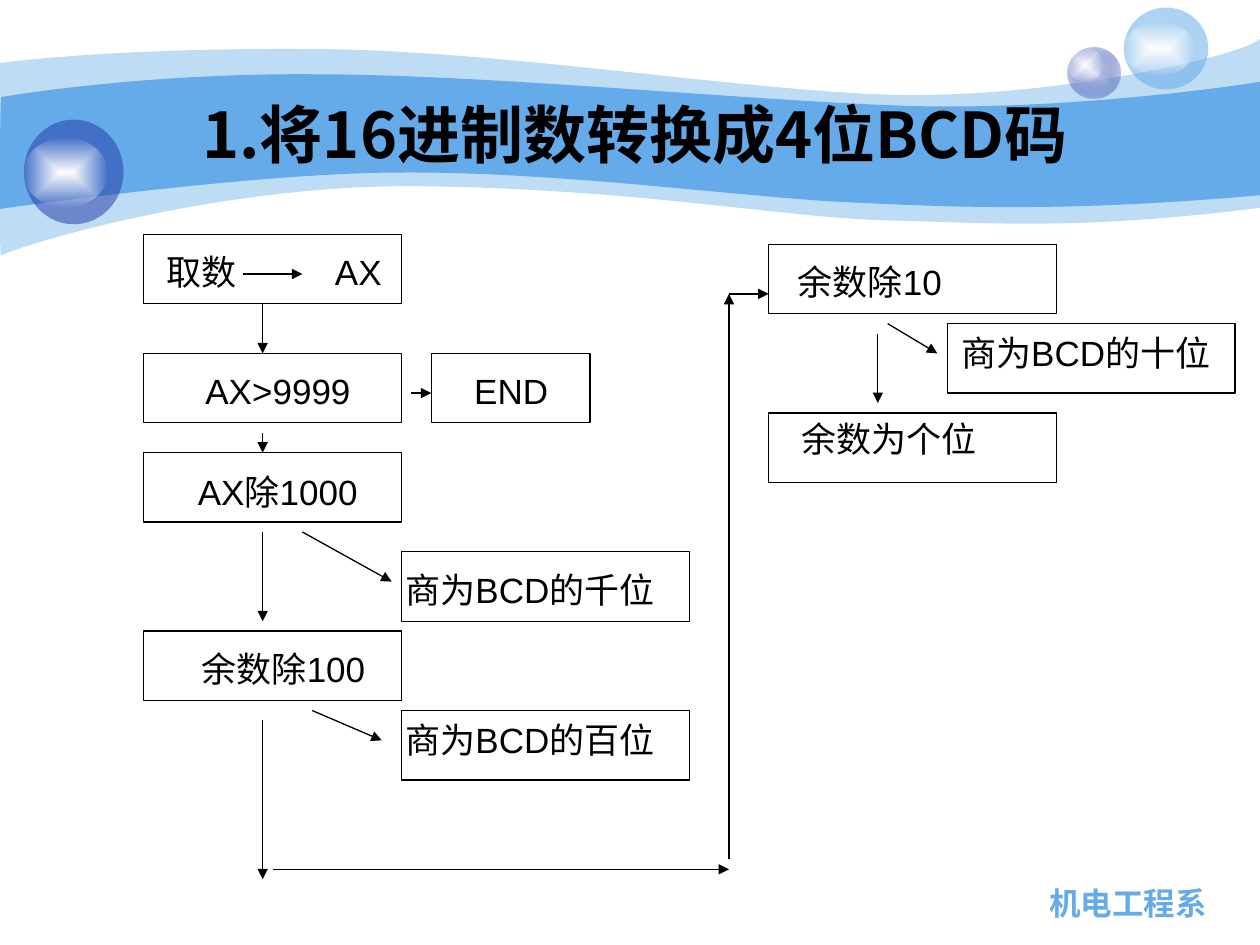
from lxml import etree
from pptx import Presentation
from pptx.dml.color import RGBColor
from pptx.enum.shapes import MSO_CONNECTOR, MSO_SHAPE
from pptx.enum.text import MSO_ANCHOR, MSO_AUTO_SIZE, PP_ALIGN
from pptx.oxml import parse_xml
from pptx.oxml.ns import nsdecls, qn
from pptx.util import Cm, Inches, Pt

OVAL, RECT = MSO_SHAPE.OVAL, MSO_SHAPE.RECTANGLE
STRAIGHT = MSO_CONNECTOR.STRAIGHT
TOP, MIDDLE = MSO_ANCHOR.TOP, MSO_ANCHOR.MIDDLE
LEFT, CENTER = PP_ALIGN.LEFT, PP_ALIGN.CENTER

COLORS = {"black": "000000", "white": "FFFFFF", "sky": "65AAE9",
          "navy": "233DA9", "lilac": "C7CEE9"}
LATIN, CJK = "Arial", "Noto Sans CJK SC"

TITLE = "1.将16进制数转换成4位BCD码"
DEPARTMENT = "机电工程系"

# Flowchart grid: 2 mm cells counted from the corner of the first box.
CELL = Cm(0.2)
ORIGIN = Inches(1.14), Inches(1.86)
BOX_ROWS = 7

# text, column, row, columns wide, text inset left and top in inches
BOXES = [
    ("取数", 0, 0, 26, 0.18, 0.13),
    ("AX>9999", 0, 12, 26, 0.49, 0.13),
    ("END", 29, 12, 16, 0.34, 0.13),
    ("AX除1000", 0, 22, 26, 0.43, 0.14),
    ("商为BCD的千位", 26, 32, 29, 0.03, 0.13),
    ("余数除100", 0, 40, 26, 0.46, 0.13),
    ("商为BCD的百位", 26, 48, 29, 0.03, 0.06),
    ("余数除10", 63, 1, 29, 0.23, 0.13),
    ("商为BCD的十位", 81, 9, 29, 0.11, 0.06),
    ("余数为个位", 63, 18, 29, 0.26, 0.04),
]

# start column, start row, end column, end row
ARROWS = [
    (10, 4, 16, 4), (12, 7, 12, 12), (27, 16, 29, 16), (12, 20, 12, 22),
    (12, 30, 12, 39), (16, 30, 25, 35), (12, 49, 12, 65), (13, 64, 59, 64),
    (59, 63, 59, 6), (17, 48, 24, 51), (59, 6, 63, 6), (75, 9, 80, 12),
    (74, 10, 74, 17),
]

# Opacity, start and segments in hundredths of an inch:
# three points make a curve, one point a straight edge.
WAVES = [
    (41, (0, 50), [
        [(24, 47), (107, 38), (247, 39)],
        [(386, 39), (575, 70), (699, 75)],
        [(822, 80), (980, 47), (1000, 31)],
        [(1000, 165)],
        [(858, 183), (787, 177), (705, 175)],
        [(622, 173), (515, 151), (343, 148)],
        [(172, 144), (4, 199), (1, 203)],
        [(-1, 208), (0, 75), (0, 50)],
    ]),
    (100, (1, 77), [
        [(2, 77), (110, 58), (248, 59)],
        [(386, 59), (595, 80), (718, 84)],
        [(841, 88), (976, 69), (1000, 65)],
        [(1000, 155)],
        [(853, 168), (765, 165), (682, 161)],
        [(599, 158), (447, 136), (317, 137)],
        [(203, 137), (-2, 166), (-1, 166)],
        [(0, 166), (0, 77), (1, 77)],
    ]),
]

# place in inches, then (colour, opacity) of the centre and of the rim
GLOW = ("white", 100), ("white", 0)
BUBBLES = [
    ((8.47, 0.38, 0.42, 0.4), ("lilac", 100), ("navy", 31)),
    ((8.47, 0.38, 0.28, 0.27), *GLOW),
    ((8.92, 0.06, 0.67, 0.65), ("sky", 53), ("sky", 53)),
    ((8.92, 0.17, 0.56, 0.43), *GLOW),
    ((0.19, 0.95, 0.79, 0.83), ("navy", 53), ("navy", 53)),
    ((0.19, 1.09, 0.66, 0.56), *GLOW),
]


def color(name):
    return RGBColor.from_string(COLORS[name])


def fill_solid(shape, name, opacity):
    shape.fill.solid()
    shape.fill.fore_color.rgb = color(name)
    if opacity < 100:
        tint = shape.element.spPr.find(qn("a:solidFill"))[0]
        etree.SubElement(tint, qn("a:alpha")).set("val", str(opacity * 1000))


def fill_radial(shape, center, rim):
    stops = "".join(
        f'<a:gs pos="{position}"><a:srgbClr val="{COLORS[name]}">'
        f'<a:alpha val="{opacity * 1000}"/></a:srgbClr></a:gs>'
        for position, (name, opacity) in ((0, center), (100000, rim)))
    gradient = parse_xml(
        f'<a:gradFill {nsdecls("a")} rotWithShape="1"><a:gsLst>{stops}</a:gsLst>'
        '<a:path path="rect"><a:fillToRect l="50000" t="50000" r="50000" b="50000"/>'
        '</a:path></a:gradFill>')
    shape.element.spPr.find(qn("a:prstGeom")).addnext(gradient)


def add_wave(shapes, opacity, start, segments):
    builder = shapes.build_freeform(*start, scale=Inches(0.01))
    builder.add_line_segments([point for segment in segments for point in segment])
    wave = builder.convert_to_shape()
    edges = iter(list(wave.element.iter(qn("a:lnTo"))))
    for segment in segments:
        first, *others = [next(edges) for _ in segment]
        if others:  # join the three points into one cubic curve
            first.tag = qn("a:cubicBezTo")
            for edge in others:
                first.append(edge[0])
                edge.getparent().remove(edge)
    wave.shadow.inherit = False
    wave.line.fill.background()
    fill_solid(wave, "sky", opacity)


def add_bubble(shapes, place, center, rim):
    bubble = shapes.add_shape(OVAL, *map(Inches, place))
    bubble.shadow.inherit = False
    bubble.line.fill.background()
    if center == rim:
        fill_solid(bubble, *center)
    else:
        fill_radial(bubble, center, rim)


def write(shape, text, size=20, name="black", bold=False, font=LATIN,
          align=LEFT, anchor=TOP, inset=(0.1, 0.05)):
    frame = shape.text_frame
    left, top = map(Inches, inset)
    layout = {"word_wrap": True, "auto_size": MSO_AUTO_SIZE.NONE,
              "vertical_anchor": anchor, "margin_left": left,
              "margin_top": top, "margin_right": 0, "margin_bottom": 0}
    for key, value in layout.items():
        setattr(frame, key, value)
    para = frame.paragraphs[0]
    para.alignment = align
    span = para.add_run()
    span.text = text
    for key, value in {"size": Pt(size), "bold": bold, "name": font}.items():
        setattr(span.font, key, value)
    span.font.color.rgb = color(name)
    etree.SubElement(span.font._element, qn("a:ea")).set("typeface", CJK)


def grid(column, row):
    return ORIGIN[0] + column * CELL, ORIGIN[1] + row * CELL


def add_box(shapes, text, column, row, columns, *inset):
    box = shapes.add_shape(RECT, *grid(column, row), columns * CELL, BOX_ROWS * CELL)
    box.shadow.inherit = False
    box.fill.background()
    box.line.color.rgb = color("black")
    box.line.width = Pt(0.75)
    write(box, text, inset=inset)


def add_arrow(shapes, *ends):
    arrow = shapes.add_connector(STRAIGHT, *grid(*ends[:2]), *grid(*ends[2:]))
    arrow.line.color.rgb = color("black")
    arrow.line.width = Pt(0.75)
    outline = arrow.element.spPr.find(qn("a:ln"))
    etree.SubElement(outline, qn("a:tailEnd")).set("type", "triangle")
    etree.SubElement(arrow.element.spPr, qn("a:effectLst"))


def add_label(shapes, text, place, **style):
    write(shapes.add_textbox(*map(Inches, place)), text, **style)


def main():
    deck = Presentation()
    deck.slide_width, deck.slide_height = Inches(10), Inches(7.5)
    page = deck.slides.add_slide(deck.slide_layouts[5])
    shapes = page.shapes
    for add, items in ((add_wave, WAVES), (add_bubble, BUBBLES),
                       (add_box, BOXES), (add_arrow, ARROWS)):
        for item in items:
            add(shapes, *item)
    add_label(shapes, "AX", (2.56, 1.94, 0.57, 0.44))
    add_label(shapes, DEPARTMENT, (8.23, 6.97, 1.81, 0.4),
              size=18, name="sky", bold=True)

    title = shapes.title
    place = {"left": 1, "top": 0.75, "width": 8.08, "height": 0.62}
    for key, value in place.items():
        setattr(title, key, Inches(value))
    write(title, TITLE, size=36, bold=True, font=CJK, align=CENTER,
          anchor=MIDDLE, inset=(0, 0))
    title.element.getparent().append(title.element)  # in front of the waves
    deck.save("out.pptx")


if __name__ == "__main__":
    main()
